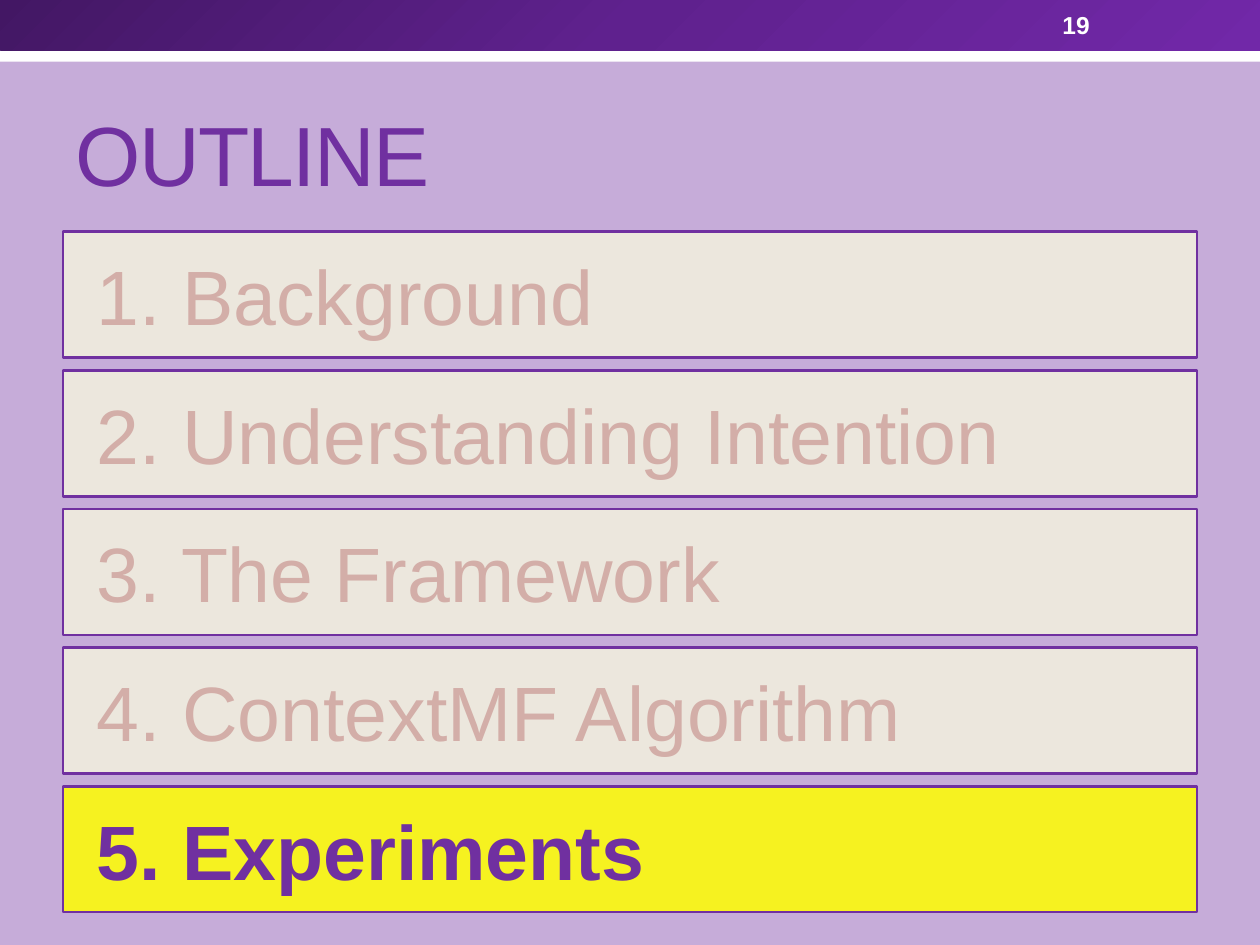
"""Build the outline slide with its fifth topic highlighted."""
from copy import deepcopy
from dataclasses import dataclass

from lxml.etree import SubElement
from pptx import Presentation
from pptx.dml.color import RGBColor
from pptx.enum.shapes import MSO_SHAPE as Kind
from pptx.enum.text import MSO_ANCHOR as Anchor, PP_ALIGN as Align
from pptx.oxml.ns import qn
from pptx.shapes.autoshape import Shape
from pptx.slide import Slide
from pptx.util import Pt

WHITE = RGBColor(0xFF, 0xFF, 0xFF)
LILAC = RGBColor(0xC6, 0xAC, 0xD9)
PURPLE = RGBColor(0x70, 0x30, 0xA0)
CREAM = RGBColor(0xF3, 0xF2, 0xDE)
YELLOW = RGBColor(0xFF, 0xFF, 0x00)
ROSE = RGBColor(0xD3, 0xAE, 0xA8)
SHADES = (RGBColor(0x43, 0x17, 0x64), RGBColor(0x5F, 0x21, 0x8E),
          RGBColor(0x71, 0x28, 0xA8))

LEFT, WIDTH = 36, 648
TOP, HIGH, PITCH = 132.5, 72, 79.2


@dataclass
class Topic:
    text: str
    fill: RGBColor = CREAM
    ink: RGBColor = ROSE
    bold: bool = False


TOPICS = (
    Topic("1. Background"),
    Topic("2. Understanding Intention"),
    Topic("3. The Framework"),
    Topic("4. ContextMF Algorithm"),
    Topic("5. Experiments", YELLOW, PURPLE, True),
)


def apply(item: object, form: dict) -> None:
    """Set each attribute named in the format."""
    for key, value in form.items():
        setattr(item, key, value)


def write(shape: Shape, text: str, size: float, ink: RGBColor,
          bold: bool = False, **frame) -> None:
    """Put one left-aligned line of text in a shape."""
    body = shape.text_frame
    apply(body, {"text": text, "word_wrap": True,
                 "vertical_anchor": Anchor.MIDDLE, **frame})
    line = body.paragraphs[0]
    line.alignment = Align.LEFT
    font = line.runs[0].font
    apply(font, {"name": "Arial", "size": Pt(size), "bold": bold})
    font.color.rgb = ink


def add_bar(slide: Slide, left: float, top: float, width: float,
            high: float, fill: RGBColor) -> Shape:
    """Add a plain filled rectangle."""
    bar = slide.shapes.add_shape(
        Kind.RECTANGLE, Pt(left), Pt(top), Pt(width), Pt(high))
    bar.shadow.inherit = False
    bar.fill.solid()
    bar.fill.fore_color.rgb = fill
    bar.line.fill.background()
    return bar


def shade(bar: Shape) -> None:
    """Give the bar a diagonal gradient of three stops."""
    bar.fill.gradient()
    bar.fill.gradient_angle = 315
    first = bar.fill._fill._gradFill.gsLst[0]
    first.addnext(deepcopy(first))
    for i, (stop, tone) in enumerate(zip(bar.fill.gradient_stops, SHADES)):
        stop.position = i / 2
        stop.color.rgb = tone


def add_topic(slide: Slide, row: int, topic: Topic) -> None:
    """Add one outlined, slightly clear topic box."""
    box = add_bar(slide, LEFT, TOP + row * PITCH, WIDTH, HIGH, topic.fill)
    tone = box._element.spPr.find(qn("a:solidFill"))[0]
    SubElement(tone, qn("a:alpha")).set("val", "85000")
    box.line.color.rgb = PURPLE
    box.line.width = Pt(1.5)
    write(box, topic.text, 44, topic.ink, topic.bold, margin_left=Pt(19.4))


def main() -> None:
    """Build and save the slide."""
    deck = Presentation()
    apply(deck, {"slide_width": Pt(720), "slide_height": Pt(540)})
    slide = deck.slides.add_slide(deck.slide_layouts[5])
    back = slide.background.fill
    back.solid()
    back.fore_color.rgb = LILAC

    add_bar(slide, 0, 17.3, 720, 18, WHITE)
    shade(add_bar(slide, 0, 0, 720, 28.8, SHADES[0]))

    title = slide.shapes.title
    apply(title, {"left": Pt(LEFT), "top": Pt(41.8),
                  "width": Pt(WIDTH), "height": Pt(77.8)})
    write(title, "OUTLINE", 48, PURPLE, vertical_anchor=Anchor.BOTTOM)
    title.text_frame.paragraphs[0].runs[0].font._element.set("spc", "-100")

    page = slide.shapes.add_textbox(Pt(600), Pt(1.4), Pt(84), Pt(26))
    write(page, "19", 14, WHITE, True)

    for row, topic in enumerate(TOPICS):
        add_topic(slide, row, topic)
    deck.save("out.pptx")


if __name__ == "__main__":
    main()
